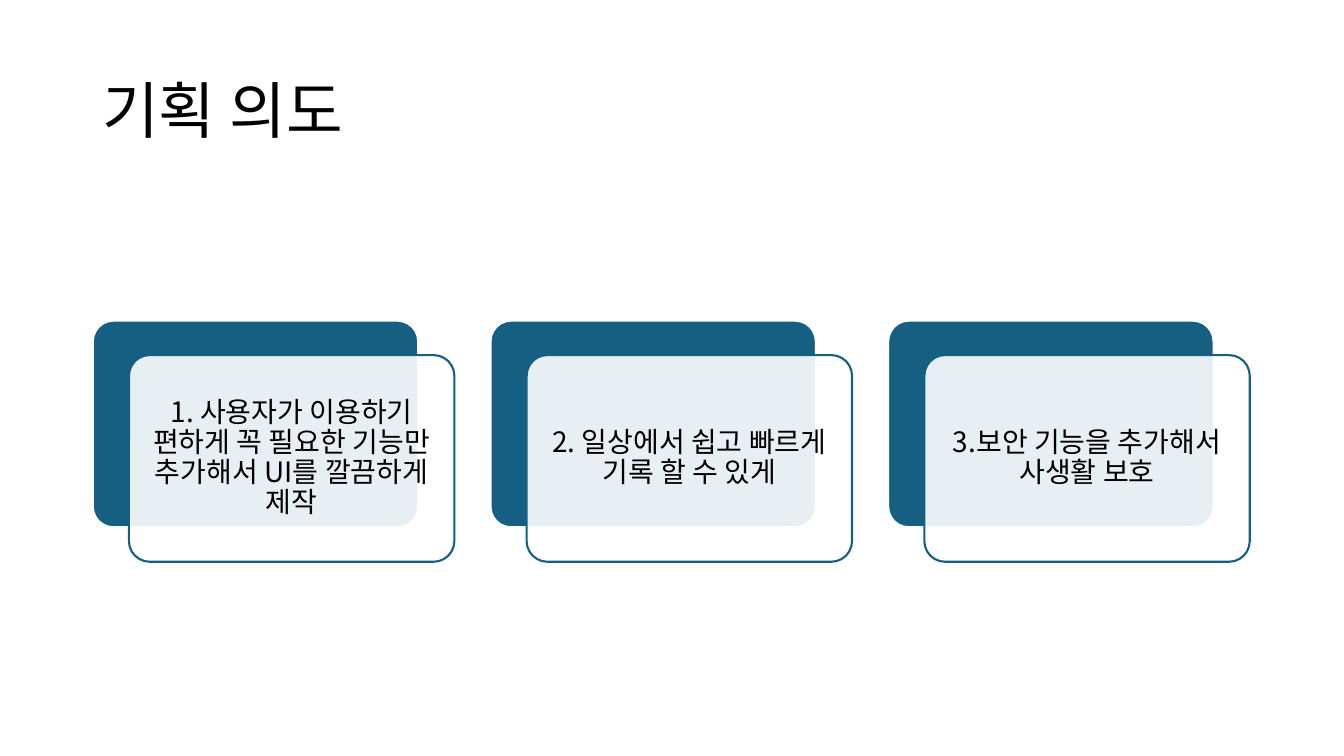
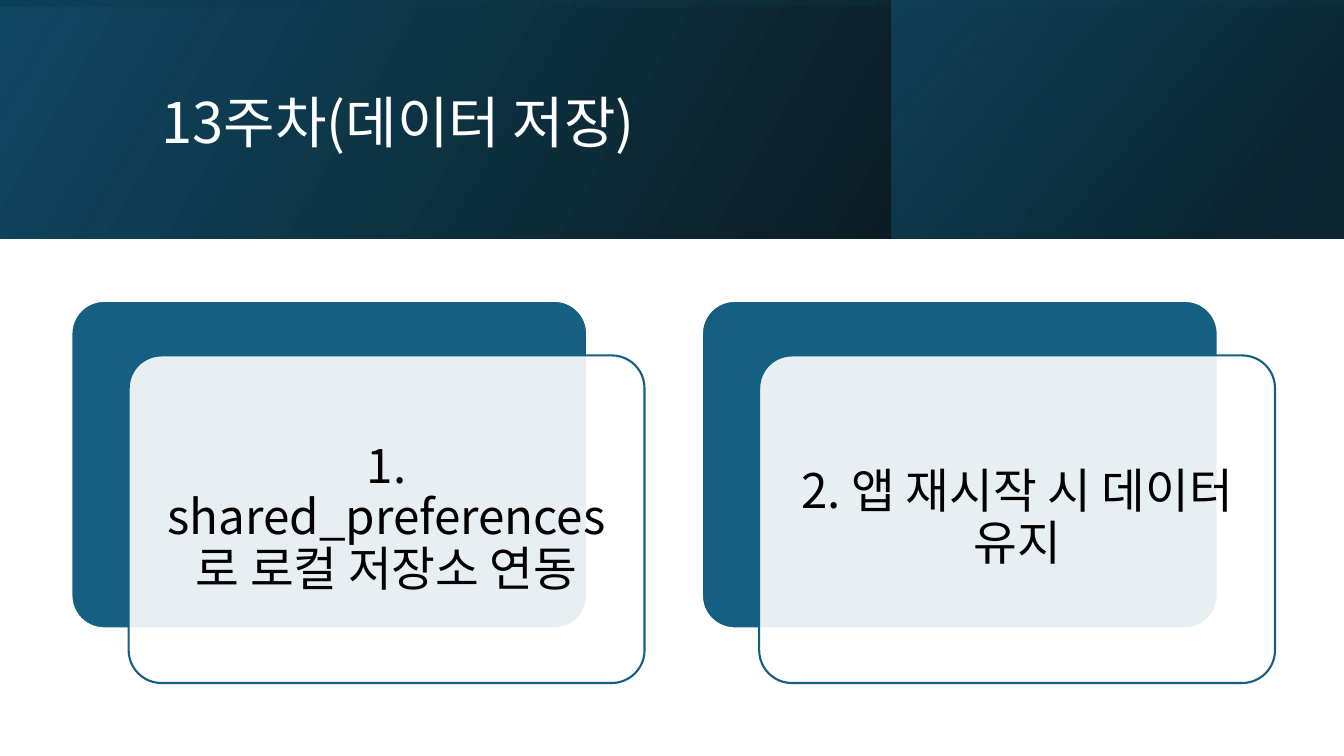
from dataclasses import dataclass

from lxml import etree
from pptx import Presentation
from pptx.dml.color import RGBColor
from pptx.enum.shapes import MSO_SHAPE
from pptx.enum.text import MSO_ANCHOR, PP_ALIGN
from pptx.oxml.ns import qn
from pptx.util import Cm, Pt

RECTANGLE = MSO_SHAPE.RECTANGLE
ROUNDED = MSO_SHAPE.ROUNDED_RECTANGLE
MIDDLE = MSO_ANCHOR.MIDDLE
LEFT, CENTER = PP_ALIGN.LEFT, PP_ALIGN.CENTER


@dataclass(frozen=True)
class Theme:
    font: str = "Noto Sans CJK KR"
    accent: str = "156082"
    deep: str = "104862"
    night: str = "0B3041"
    black: str = "000000"
    white: str = "FFFFFF"
    line: float = 1.5
    corner: float = 0.1
    card_opacity: int = 90


THEME = Theme()
SLIDE_WIDTH, SLIDE_HEIGHT = 33.87, 19.05
BAND_HEIGHT = 6.02
PANEL_LEFT = 22.46

BANDS = [
    {"box": (0, 0, SLIDE_WIDTH, BAND_HEIGHT), "rotation": 0, "angle": 30,
     "stops": [(0, THEME.black, 96), (1, THEME.deep, 100)]},
    {"box": (PANEL_LEFT, 0, SLIDE_WIDTH - PANEL_LEFT, BAND_HEIGHT), "rotation": 0, "angle": 40,
     "stops": [(0.19, THEME.night, 68), (1, THEME.accent, 48)]},
    {"box": ((SLIDE_WIDTH - BAND_HEIGHT) / 2, (BAND_HEIGHT - SLIDE_WIDTH) / 2, BAND_HEIGHT, SLIDE_WIDTH),
     "rotation": 270, "angle": 10,
     "stops": [(0.23, THEME.deep, 16), (0.99, THEME.black, 45)]},
]

SLIDES = [
    {
        "title": {"text": "기획 의도", "box": (2.33, 1.01, 29.21, 3.68), "size": 44, "color": THEME.black},
        "bands": [],
        "cards": {"left": 2.34, "top": 8.08, "width": 8.2, "size": 20, "inset": 0.2},
        "texts": [
            "1. 사용자가 이용하기 편하게 꼭 필요한 기능만 추가해서 UI를 깔끔하게 제작",
            "2. 일상에서 쉽고 빠르게 기록 할 수 있게",
            "3.보안 기능을 추가해서 사생활 보호",
        ],
    },
    {
        "title": {"text": "13주차(데이터 저장)", "box": (3.83, 0.96, 27, 4.38), "size": 40, "color": THEME.white},
        "bands": BANDS,
        "cards": {"left": 1.8, "top": 7.58, "width": 13, "size": 34, "inset": 0.36},
        "texts": [
            "1. shared_preferences로 로컬 저장소 연동",
            "2. 앱 재시작 시 데이터 유지",
        ],
    },
]


def rgb(color):
    return RGBColor.from_string(color)


def set_opacity(shape, percents):
    colors = shape._element.spPr.xpath("./a:solidFill/a:srgbClr | ./a:gradFill//a:srgbClr")
    for color, percent in zip(colors, percents):
        etree.SubElement(color, qn("a:alpha")).set("val", str(percent * 1000))


def write(shape, text, size, color, align, inset=None):
    frame = shape.text_frame
    formats = {"word_wrap": True, "vertical_anchor": MIDDLE}
    if inset is not None:
        formats.update({f"margin_{side}": Cm(inset) for side in ("left", "top", "right", "bottom")})
    for name, value in formats.items():
        setattr(frame, name, value)
    paragraph = frame.paragraphs[0]
    paragraph.alignment = align
    paragraph.line_spacing = 0.9
    run = paragraph.add_run()
    run.text = text
    for name, value in {"name": THEME.font, "size": Pt(size)}.items():
        setattr(run.font, name, value)
    run.font.color.rgb = rgb(color)
    etree.SubElement(run.font._element, qn("a:ea")).set("typeface", THEME.font)


def add_shape(slide, kind, box):
    shape = slide.shapes.add_shape(kind, *map(Cm, box))
    shape.shadow.inherit = False
    return shape


def add_band(slide, band):
    shape = add_shape(slide, RECTANGLE, band["box"])
    shape.line.fill.background()
    shape.rotation = band["rotation"]
    shape._element.spPr.xfrm.set("flipH", "1")
    shape.fill.gradient()
    shape.fill.gradient_angle = band["angle"]
    for stop, (position, color, _) in zip(shape.fill.gradient_stops, band["stops"]):
        stop.position = position
        stop.color.rgb = rgb(color)
    set_opacity(shape, [opacity for _, _, opacity in band["stops"]])


def add_plate(slide, box, fill, line):
    plate = add_shape(slide, ROUNDED, box)
    plate.adjustments[0] = THEME.corner
    plate.fill.solid()
    plate.fill.fore_color.rgb = rgb(fill)
    plate.line.color.rgb = rgb(line)
    plate.line.width = Pt(THEME.line)
    return plate


def add_cards(slide, texts, left, top, width, size, inset):
    height = width * 0.635
    shift_x, shift_y = width / 9, height / 6
    pitch = width + 2 * shift_x
    for index, text in enumerate(texts):
        x = left + index * pitch
        add_plate(slide, (x, top, width, height), THEME.accent, THEME.white)
        card = add_plate(slide, (x + shift_x, top + shift_y, width, height), THEME.white, THEME.accent)
        set_opacity(card, [THEME.card_opacity])
        write(card, text, size, THEME.black, CENTER, inset)


def add_title(slide, text, box, size, color):
    title = slide.shapes.add_textbox(*map(Cm, box))
    write(title, text, size, color, LEFT)


def main():
    presentation = Presentation()
    presentation.slide_width = Cm(SLIDE_WIDTH)
    presentation.slide_height = Cm(SLIDE_HEIGHT)
    for content in SLIDES:
        slide = presentation.slides.add_slide(presentation.slide_layouts[6])
        for band in content["bands"]:
            add_band(slide, band)
        add_title(slide, **content["title"])
        add_cards(slide, content["texts"], **content["cards"])
    presentation.save("out.pptx")


if __name__ == "__main__":
    main()
